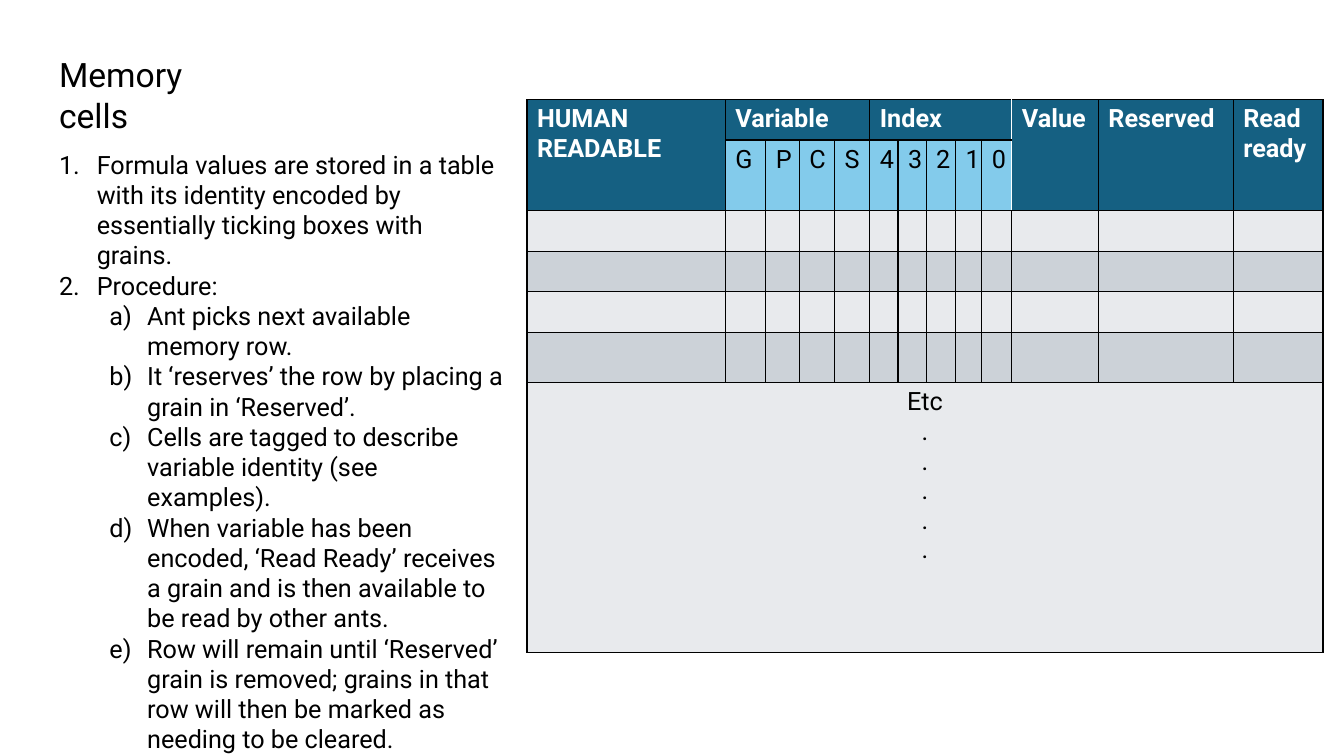
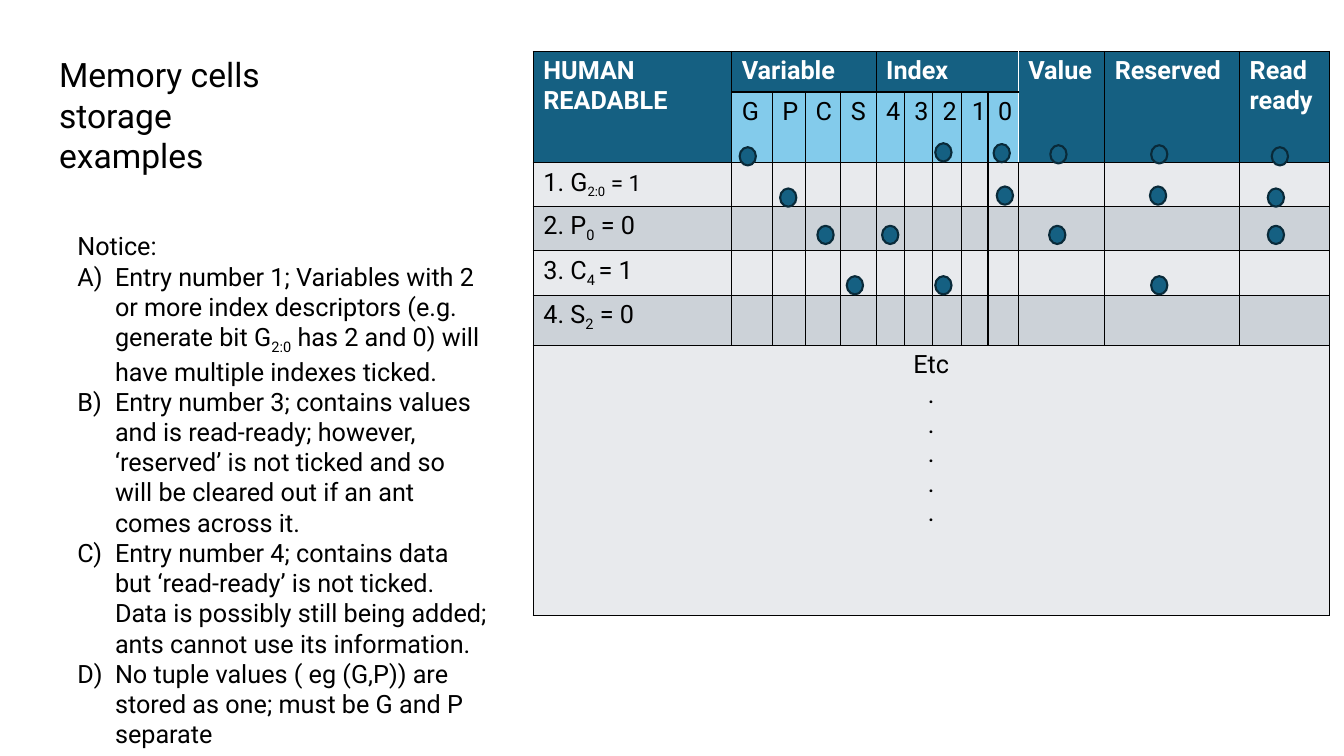
from dataclasses import dataclass

from lxml.etree import SubElement
from pptx import Presentation
from pptx.dml.color import RGBColor
from pptx.enum.shapes import MSO_SHAPE
from pptx.enum.text import MSO_AUTO_SIZE, PP_ALIGN
from pptx.oxml.ns import qn
from pptx.util import Cm, Pt


@dataclass(frozen=True)
class Theme:
    font: str = "Roboto"
    title_size: int = 24
    body_size: int = 18
    small_size: int = 16
    text: str = "000000"
    light_text: str = "FFFFFF"
    header: str = "156082"
    subheader: str = "83CBEB"
    band_light: str = "E8EAED"
    band_dark: str = "CCD2D8"
    grain_line: str = "092A39"


@dataclass(frozen=True)
class Piece:
    """A stretch of text with its own size or subscript position."""
    text: str
    sub: bool = False
    size: int = Theme.body_size


THEME = Theme()

# Memory table grid, in cm
COLUMN_WIDTHS = (5, 1.02, 0.84, 0.89, 0.89, 0.71, 0.71, 0.74, 0.66, 0.76,
                 2.18, 3.4, 2.26)
ROW_HEIGHTS = (1.02, 1.78, 1.02, 1.02, 1.02, 1.27, 6.81)
HEADER_ROWS = 2
VALUE_COLUMN = 10
# First column, last column, last row and lines of each header
HEADERS = (
    (0, 0, 1, ["HUMAN READABLE"]),
    (1, 4, 0, ["Variable"]),
    (5, 9, 0, ["Index"]),
    (10, 10, 1, ["Value"]),
    (11, 11, 1, ["Reserved"]),
    (12, 12, 1, ["Read", "ready"]),
)

# Numbering: scheme, level, left indent in cm
STEP = ("arabicPeriod", 0, 0.95)
SUBSTEP = ("alphaLcParenR", 1, 2.22)
NOTICE = ("alphaUcParenR", 0, 0.95)
HANGING = Cm(0.95)

PROCEDURE = (
    (STEP, ["Formula values are stored in a table with its identity encoded by "
            "essentially ticking boxes with grains."]),
    (STEP, ["Procedure:"]),
    (SUBSTEP, ["Ant picks next available memory row."]),
    (SUBSTEP, ["It ‘reserves’ the row by placing a grain in ‘Reserved’."]),
    (SUBSTEP, ["Cells are tagged to describe variable identity (see examples)."]),
    (SUBSTEP, ["When variable has been encoded, ‘Read Ready’ receives a grain "
               "and is then available to be read by other ants."]),
    (SUBSTEP, ["Row will remain until ‘Reserved’ grain is removed; grains in "
               "that row will then be marked as needing to be cleared."]),
)
NOTICES = (
    (None, ["Notice:"]),
    (NOTICE, ["Entry number 1; Variables with 2 or more index descriptors "
              "(e.g. generate bit G", Piece("2:0", sub=True),
              " has 2 and 0) will have multiple indexes ticked."]),
    (NOTICE, ["Entry number 3; contains values and is read-ready; however, "
              "‘reserved’ is not ticked and so will be cleared out if an ant "
              "comes across it."]),
    (NOTICE, ["Entry number 4; contains data but ‘read-ready’ is not ticked. "
              "Data is possibly still being added; ants cannot use its "
              "information."]),
    (NOTICE, ["No tuple values ( eg (G,P)) are stored as one; must be G and P "
              "separate"]),
)
ENTRIES = (
    ["1. G", Piece("2:0", True, THEME.small_size),
     Piece(" = 1", size=THEME.small_size)],
    ["2. P", Piece("0", True), " = 0"],
    ["3. C", Piece("4 ", True), "= 1"],
    ["4. S", Piece("2", True), " = 0"],
)
# Left and top of the grains of each entry, in cm
GRAINS = (
    ((18.64, 3.71), (23.57, 3.61), (25.04, 3.63), (26.47, 3.66),
     (29.01, 3.66), (32.05, 3.71)),
    ((19.66, 4.75), (25.12, 4.7), (28.98, 4.7), (31.95, 4.75)),
    ((20.6, 5.69), (22.23, 5.69), (26.44, 5.69), (31.95, 5.69)),
    ((21.34, 6.96), (23.57, 6.96), (29.01, 6.96)),
)


def rgb(colour):
    return RGBColor.from_string(colour)


# Text
def add_run(paragraph, piece, size, colour, bold=False):
    if isinstance(piece, str):
        piece = Piece(piece, size=size)
    run = paragraph.add_run()
    run.text = piece.text
    run.font.name = THEME.font
    run.font.size = Pt(piece.size)
    run.font.bold = bold
    run.font.color.rgb = rgb(colour)
    if piece.sub:
        run._r.get_or_add_rPr().set("baseline", "-25000")


def number(paragraph, numbering):
    scheme, level, indent = numbering
    paragraph.level = level
    properties = paragraph._p.get_or_add_pPr()
    properties.set("marL", str(Cm(indent)))
    properties.set("indent", str(-HANGING))
    SubElement(properties, qn("a:buFont"), typeface="+mj-lt")
    SubElement(properties, qn("a:buAutoNum"), type=scheme)


def write(frame, paragraphs, size=THEME.body_size, colour=THEME.text,
          bold=False, align=PP_ALIGN.LEFT):
    for position, (numbering, pieces) in enumerate(paragraphs):
        paragraph = frame.add_paragraph() if position else frame.paragraphs[0]
        paragraph.alignment = align
        if numbering:
            number(paragraph, numbering)
        for piece in pieces:
            add_run(paragraph, piece, size, colour, bold)


def plain(lines):
    return [(None, [line]) for line in lines]


def add_text(slide, left, top, width, height, paragraphs, size=THEME.body_size):
    frame = slide.shapes.add_textbox(
        Cm(left), Cm(top), Cm(width), Cm(height)).text_frame
    frame.word_wrap = True
    frame.auto_size = MSO_AUTO_SIZE.SHAPE_TO_FIT_TEXT
    write(frame, paragraphs, size)


def add_title(slide, width, height, lines):
    add_text(slide, 1.24, 1.24, width, height, plain(lines), THEME.title_size)


# Memory table
def style_cell(cell, fill, white_side=None):
    properties = cell._tc.get_or_add_tcPr()
    for side in ("lnL", "lnR", "lnT", "lnB"):
        line = SubElement(properties, qn(f"a:{side}"), w=str(Pt(1)))
        colour = THEME.light_text if side == white_side else THEME.text
        SubElement(SubElement(line, qn("a:solidFill")), qn("a:srgbClr"), val=colour)
    cell.fill.solid()
    cell.fill.fore_color.rgb = rgb(fill)


def cell_fill(row, column):
    if row < HEADER_ROWS:
        is_tag = row == 1 and 0 < column < VALUE_COLUMN
        return THEME.subheader if is_tag else THEME.header
    return THEME.band_dark if row % 2 else THEME.band_light


def add_memory_table(slide, left, top, entries=()):
    table = slide.shapes.add_table(
        len(ROW_HEIGHTS), len(COLUMN_WIDTHS), Cm(left), Cm(top),
        Cm(sum(COLUMN_WIDTHS)), Cm(sum(ROW_HEIGHTS))).table
    table.first_row = table.horz_banding = False
    for column, width in zip(table.columns, COLUMN_WIDTHS):
        column.width = Cm(width)
    for row, height in zip(table.rows, ROW_HEIGHTS):
        row.height = Cm(height)

    # Fills and borders, with a white rule between Index and Value
    white_sides = {VALUE_COLUMN - 1: "lnR", VALUE_COLUMN: "lnL"}
    for row in range(len(ROW_HEIGHTS)):
        for column in range(len(COLUMN_WIDTHS)):
            white_side = white_sides.get(column) if row < HEADER_ROWS else None
            style_cell(table.cell(row, column), cell_fill(row, column), white_side)

    # Headers and tags
    for first, last, last_row, lines in HEADERS:
        header = table.cell(0, first)
        header.merge(table.cell(last_row, last))
        write(header.text_frame, plain(lines), colour=THEME.light_text, bold=True)
    for column, tag in enumerate("GPCS43210", 1):
        write(table.cell(1, column).text_frame, plain([tag]))

    # Entries and the closing row
    for row, entry in enumerate(entries, HEADER_ROWS):
        write(table.cell(row, 0).text_frame, [(None, entry)])
    last_row = len(ROW_HEIGHTS) - 1
    closing = table.cell(last_row, 0)
    closing.merge(table.cell(last_row, len(COLUMN_WIDTHS) - 1))
    write(closing.text_frame, plain(["Etc"] + ["."] * 5), align=PP_ALIGN.CENTER)


def add_grain(slide, left, top):
    grain = slide.shapes.add_shape(
        MSO_SHAPE.OVAL, Cm(left), Cm(top), Cm(0.41), Cm(0.46))
    grain.shadow.inherit = False
    grain.fill.solid()
    grain.fill.fore_color.rgb = rgb(THEME.header)
    grain.line.color.rgb = rgb(THEME.grain_line)
    grain.line.width = Pt(1.5)


# Slides
def build_memory_cells(slide):
    add_title(slide, 5.46, 1.27, ["Memory cells"])
    add_text(slide, 1.24, 3.63, 11.71, 14.88, PROCEDURE)
    add_memory_table(slide, 13.28, 2.51)


def build_storage_examples(slide):
    add_title(slide, 6.99, 2.31, ["Memory cells", "storage examples"])
    add_memory_table(slide, 13.44, 1.3, ENTRIES)
    for entry_grains in GRAINS:
        for left, top in entry_grains:
            add_grain(slide, left, top)
    add_text(slide, 1.7, 5.69, 10.87, 13.34, NOTICES)


def main():
    deck = Presentation()
    deck.slide_width, deck.slide_height = Cm(33.87), Cm(19.05)
    blank = deck.slide_layouts[6]
    for build in (build_memory_cells, build_storage_examples):
        build(deck.slides.add_slide(blank))
    deck.save("out.pptx")


if __name__ == "__main__":
    main()
